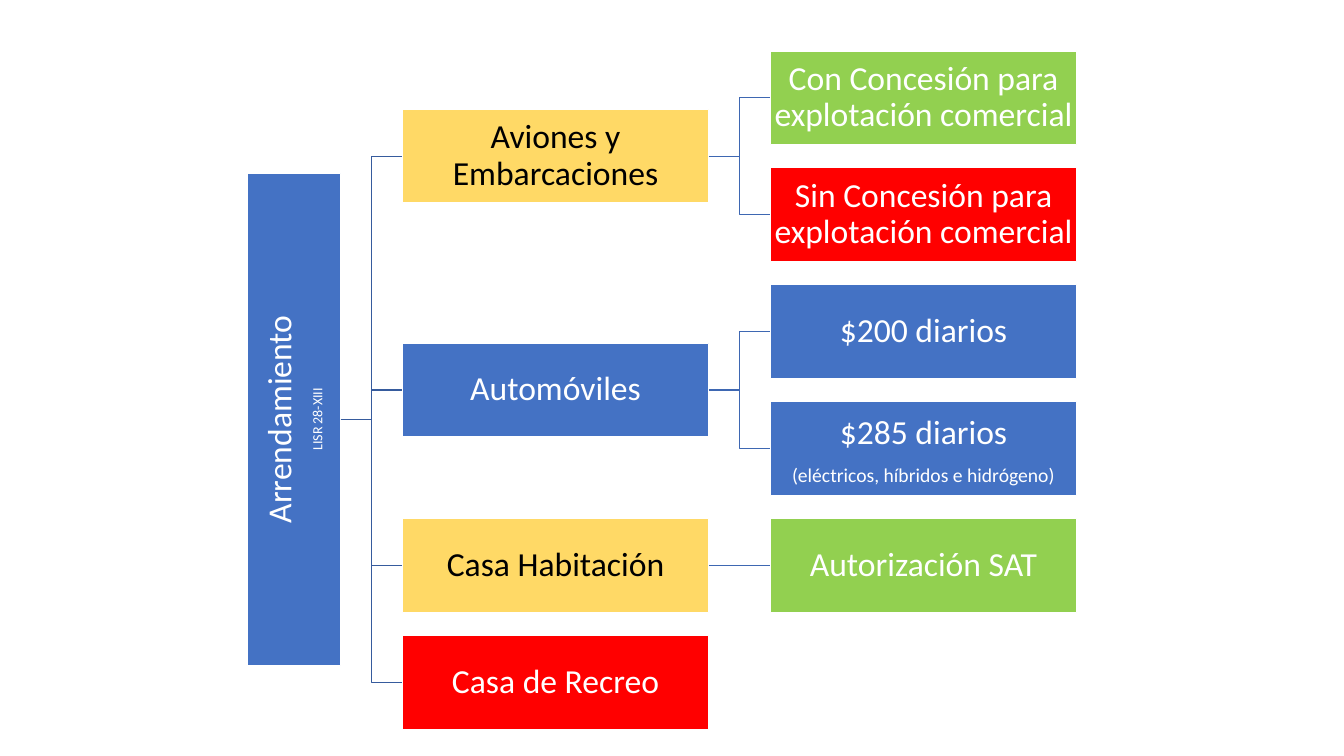
"""Draw the lease deduction tree, from its root to the limits of each kind of asset."""
from dataclasses import dataclass

from lxml.etree import SubElement
from pptx import Presentation
from pptx.dml.color import RGBColor
from pptx.enum.shapes import MSO_CONNECTOR as CONN, MSO_SHAPE as SHAPE
from pptx.enum.text import MSO_ANCHOR as ANCHOR, PP_ALIGN as ALIGN
from pptx.oxml.ns import qn
from pptx.shapes.autoshape import Shape
from pptx.shapes.shapetree import SlideShapes
from pptx.util import Inches, Pt

BLUE, YELLOW, GREEN, RED = "4472C4", "FFD966", "92D050", "FF0000"
WHITE, BLACK = "FFFFFF", "000000"
ROOT_LINK, BRANCH_LINK = "365B9D", "3E67B2"
BOX_W, BOX_H, ROOT_W = 3.04, 0.93, 4.88
GAP = 0.61
COL, ROW = BOX_W + GAP, 1.16
LEFT, FIRST_MID = 3.99, 0.97


@dataclass(frozen=True)
class Node:
    """A box on the grid, with its lines of text and its branches."""

    row: float
    fill: str
    lines: tuple[tuple[str, int], ...]
    ink: str = WHITE
    spacing: float = 0.9
    children: tuple["Node", ...] = ()


TREE = Node(2.75, BLUE, (("Arrendamiento", 24), ("LISR 28-XIII", 10)), children=(
    Node(0.5, YELLOW, (("Aviones y Embarcaciones", 24),), BLACK, children=(
        Node(0, GREEN, (("Con Concesión para explotación comercial", 24),)),
        Node(1, RED, (("Sin Concesión para explotación comercial", 24),)),
    )),
    Node(2.5, BLUE, (("Automóviles", 24),), children=(
        Node(2, BLUE, (("$200 diarios", 24),)),
        Node(3, BLUE, (("$285 diarios", 24),
                       ("(eléctricos, híbridos e hidrógeno)", 14)), spacing=1.0),
    )),
    Node(4, YELLOW, (("Casa Habitación", 24),), BLACK, children=(
        Node(4, GREEN, (("Autorización SAT", 24),)),
    )),
    Node(5, RED, (("Casa de Recreo", 24),)),
))


def rgb(value: str) -> RGBColor:
    """Turn a hex string into a colour."""
    return RGBColor.from_string(value)


def mid_y(node: Node) -> float:
    """Give the height of a node's middle in inches."""
    return FIRST_MID + node.row * ROW


def col_x(col: int) -> float:
    """Give the left edge of a column in inches."""
    return LEFT + col * COL


def write(s: Shape, node: Node) -> None:
    """Fill a box with the node's centred lines."""
    tf = s.text_frame
    tf.word_wrap = True
    tf.vertical_anchor = ANCHOR.MIDDLE
    tf.margin_left = tf.margin_right = tf.margin_top = tf.margin_bottom = Inches(0.02)
    for i, (text, size) in enumerate(node.lines):
        p = tf.add_paragraph() if i else tf.paragraphs[0]
        p.text = text
        p.alignment = ALIGN.CENTER
        p.line_spacing = node.spacing
        p.space_after = Pt(size * 0.35)
        p.font.name = "Calibri"
        p.font.size = Pt(size)
        p.font.color.rgb = rgb(node.ink)


def draw_box(shapes: SlideShapes, node: Node, col: int) -> Shape:
    """Draw one box; the root, in column -1, stands turned on its end."""
    is_root = col < 0
    width = ROOT_W if is_root else BOX_W
    x = LEFT - GAP - (BOX_H + ROOT_W) / 2 if is_root else col_x(col)
    s = shapes.add_shape(SHAPE.RECTANGLE, Inches(x), Inches(mid_y(node) - BOX_H / 2),
                         Inches(width), Inches(BOX_H))
    s.rotation = 270 if is_root else 0
    s.shadow.inherit = False
    s.fill.solid()
    s.fill.fore_color.rgb = rgb(node.fill)
    s.line.color.rgb = rgb(WHITE)
    s.line.width = Pt(1)
    write(s, node)
    return s


def draw_elbow(shapes: SlideShapes, parent: Node, child: Node, col: int) -> Shape:
    """Draw a stepped link that ends at the given column."""
    end = col_x(col)
    start, bend = end - GAP, end - GAP / 2
    y1, y2 = mid_y(parent), mid_y(child)
    path = shapes.build_freeform(Inches(start), Inches(y1))
    path.add_line_segments([(Inches(x), Inches(y)) for x, y in
                            ((bend, y1), (bend, y2), (end, y2))], close=False)
    s = path.convert_to_shape()
    s.shadow.inherit = False
    s.fill.background()
    return s


def draw_tree(shapes: SlideShapes, node: Node, col: int = -1) -> Shape:
    """Draw a node, its branches and the links between them."""
    box = draw_box(shapes, node, col)
    for child in node.children:
        child_box = draw_tree(shapes, child, col + 1)
        if child.row == node.row:
            link = shapes.add_connector(CONN.STRAIGHT, 0, 0, 0, 0)
            link.begin_connect(box, 3)
            link.end_connect(child_box, 1)
        else:
            link = draw_elbow(shapes, node, child, col + 1)
        link.line.color.rgb = rgb(ROOT_LINK if col < 0 else BRANCH_LINK)
        link.line.width = Pt(1)
        if child.row == node.row:
            SubElement(link._element.spPr, qn("a:effectLst"))
    return box


def main() -> None:
    """Build the slide and save it."""
    prs = Presentation()
    prs.slide_width, prs.slide_height = Inches(13.33), Inches(7.5)
    slide = prs.slides.add_slide(prs.slide_layouts[6])
    draw_tree(slide.shapes, TREE)
    prs.save("out.pptx")


if __name__ == "__main__":
    main()
